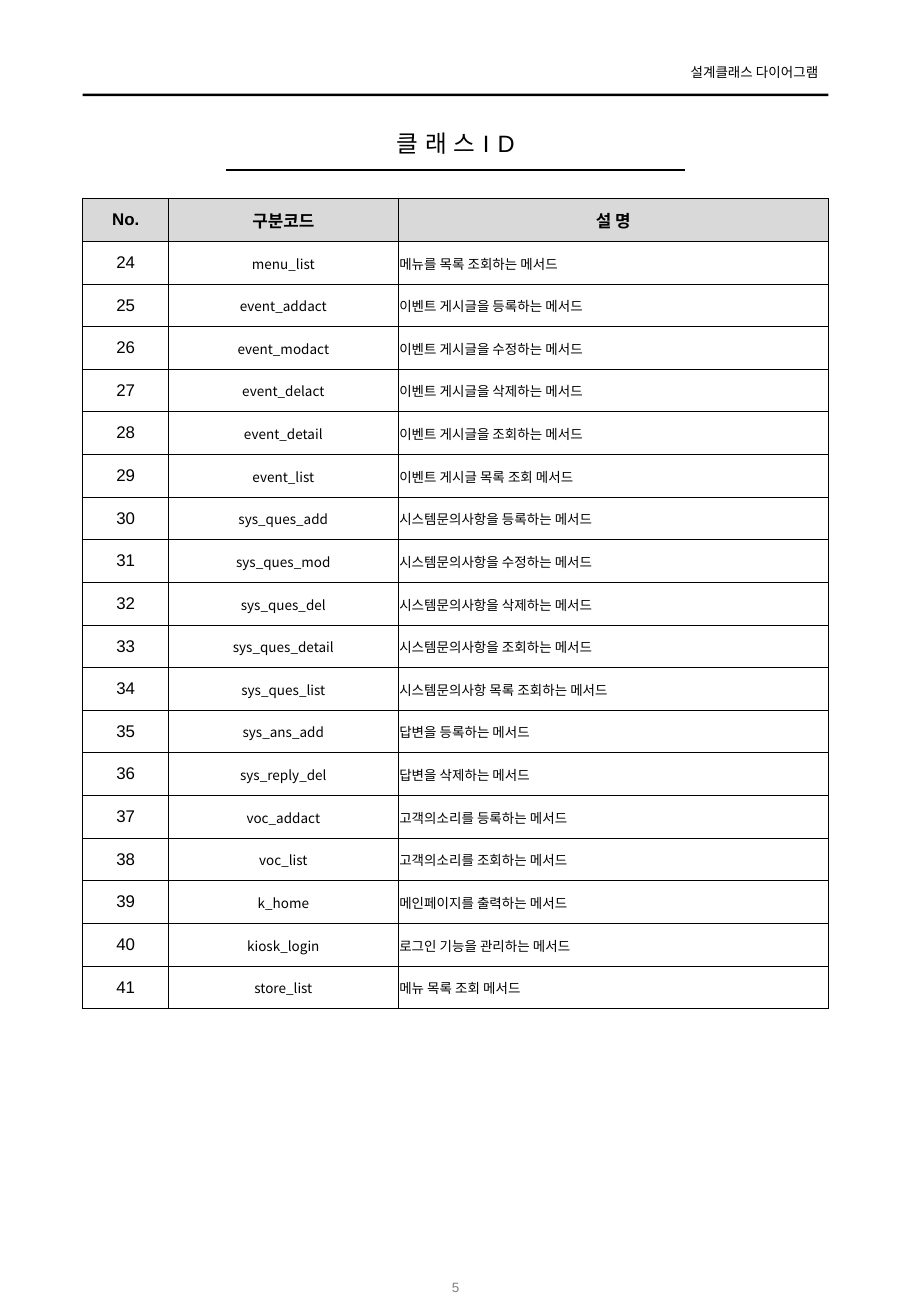
from collections import namedtuple
from dataclasses import dataclass

from lxml import etree
from pptx import Presentation
from pptx.dml.color import RGBColor
from pptx.enum.shapes import MSO_CONNECTOR, MSO_SHAPE
from pptx.enum.text import MSO_ANCHOR, MSO_AUTO_SIZE, PP_ALIGN
from pptx.oxml.ns import qn
from pptx.util import Pt

LEFT, CENTER, RIGHT = PP_ALIGN.LEFT, PP_ALIGN.CENTER, PP_ALIGN.RIGHT
TOP, MIDDLE = MSO_ANCHOR.TOP, MSO_ANCHOR.MIDDLE
NO_AUTOFIT = MSO_AUTO_SIZE.NONE
STRAIGHT, RECTANGLE = MSO_CONNECTOR.STRAIGHT, MSO_SHAPE.RECTANGLE

Box = namedtuple("Box", "left top width height")
Style = namedtuple("Style", "size font color bold", defaults=(False,))


@dataclass(frozen=True)
class Theme:
    ink: str = "000000"
    paper: str = "FFFFFF"
    header_fill: str = "D9D9D9"
    muted: str = "808080"
    latin: str = "Arial"
    korean: str = "Noto Sans CJK KR"
    title_size: int = 14
    table_size: int = 10
    small_size: int = 8


THEME = Theme()
RUNNING_HEAD = Style(THEME.small_size, THEME.latin, THEME.ink)
TITLE = Style(THEME.title_size, THEME.latin, THEME.ink)
COLUMN_HEAD = Style(THEME.table_size, THEME.latin, THEME.ink, True)
NUMBER = Style(THEME.table_size, THEME.latin, THEME.ink)
DETAIL = Style(THEME.small_size, THEME.korean, THEME.ink)
PAGE_NUMBER = Style(THEME.small_size, THEME.latin, THEME.muted)

COLUMN_WIDTHS = (51, 136, 255)
COLUMN_HEADS = ("No.", "구분코드", "설 명")
FIRST_NUMBER = 24
METHODS = (
    ("menu_list", "메뉴를 목록 조회하는 메서드"),
    ("event_addact", "이벤트 게시글을 등록하는 메서드"),
    ("event_modact", "이벤트 게시글을 수정하는 메서드"),
    ("event_delact", "이벤트 게시글을 삭제하는 메서드"),
    ("event_detail", "이벤트 게시글을 조회하는 메서드"),
    ("event_list", "이벤트 게시글 목록 조회 메서드"),
    ("sys_ques_add", "시스템문의사항을 등록하는 메서드"),
    ("sys_ques_mod", "시스템문의사항을 수정하는 메서드"),
    ("sys_ques_del", "시스템문의사항을 삭제하는 메서드"),
    ("sys_ques_detail", "시스템문의사항을 조회하는 메서드"),
    ("sys_ques_list", "시스템문의사항 목록 조회하는 메서드"),
    ("sys_ans_add", "답변을 등록하는 메서드"),
    ("sys_reply_del", "답변을 삭제하는 메서드"),
    ("voc_addact", "고객의소리를 등록하는 메서드"),
    ("voc_list", "고객의소리를 조회하는 메서드"),
    ("k_home", "메인페이지를 출력하는 메서드"),
    ("kiosk_login", "로그인 기능을 관리하는 메서드"),
    ("store_list", "메뉴 목록 조회 메서드"),
)


def lengths(*values):
    return [Pt(value) for value in values]


def write(frame, text, style, alignment):
    paragraph = frame.paragraphs[0]
    paragraph.alignment = alignment
    paragraph.line_spacing = 1.0
    run = paragraph.add_run()
    run.text = text
    run.font.size = Pt(style.size)
    run.font.name = style.font
    run.font.bold = style.bold
    run.font.color.rgb = RGBColor.from_string(style.color)
    properties = run.font._element
    east_asian = etree.Element(qn("a:ea"), typeface=THEME.korean)
    properties.find(qn("a:latin")).addnext(east_asian)
    return run


def set_margins(owner, left, top, right, bottom):
    owner.margin_left, owner.margin_top = lengths(left, top)
    owner.margin_right, owner.margin_bottom = lengths(right, bottom)


def format_frame(frame, margins, anchor):
    frame.word_wrap = True
    frame.auto_size = NO_AUTOFIT
    frame.vertical_anchor = anchor
    set_margins(frame, *margins)


def add_running_head(slide, box):
    label = slide.shapes.add_textbox(*lengths(box.left + box.width - 97, box.top, 97, 17.5))
    format_frame(label.text_frame, (7.2, 3.6, 5.8, 3.6), TOP)
    write(label.text_frame, "설계클래스 다이어그램", RUNNING_HEAD, RIGHT)
    rule_height = 1.5
    rule = slide.shapes.add_shape(
        RECTANGLE, *lengths(box.left, box.top + box.height - rule_height, box.width, rule_height))
    rule.shadow.inherit = False
    rule.fill.solid()
    rule.fill.fore_color.rgb = RGBColor.from_string(THEME.ink)
    rule.line.fill.background()


def add_title(slide, box):
    title = slide.shapes.title
    title.left, title.top, title.width, title.height = lengths(
        box.left, box.top, box.width, 24.5)
    format_frame(title.text_frame, (0, 3.6, 0, 3.6), MIDDLE)
    run = write(title.text_frame, "클 래 스 I D", TITLE, CENTER)
    run.font._element.set("spc", "50")
    underline_width = 272
    start = box.left + (box.width - underline_width) / 2
    bottom = box.top + box.height
    underline = slide.shapes.add_connector(
        STRAIGHT, *lengths(start, bottom, start + underline_width, bottom))
    underline.line.width = Pt(1)
    underline.line.color.rgb = RGBColor.from_string(THEME.ink)
    etree.SubElement(underline._element.spPr, qn("a:effectLst"))


def outline_cell(cell):
    properties = cell._tc.get_or_add_tcPr()
    for index, side in enumerate(("lnL", "lnR", "lnT", "lnB")):
        border = etree.Element(qn(f"a:{side}"), w=str(Pt(0.5)))
        fill = etree.SubElement(border, qn("a:solidFill"))
        etree.SubElement(fill, qn("a:srgbClr"), val=THEME.ink)
        properties.insert(index, border)


def fill_cell(cell, text, style, alignment, fill):
    cell.vertical_anchor = MIDDLE
    if style is DETAIL:
        set_margins(cell, 0.7, 0.7, 0.7, 0)
    cell.fill.solid()
    cell.fill.fore_color.rgb = RGBColor.from_string(fill)
    outline_cell(cell)
    write(cell.text_frame, text, style, alignment)


def add_method_table(slide, box):
    row_count = len(METHODS) + 1
    table = slide.shapes.add_table(row_count, len(COLUMN_WIDTHS), *lengths(*box)).table
    table.first_row = table.horz_banding = False
    for column, width in zip(table.columns, COLUMN_WIDTHS):
        column.width = Pt(width)
    for row in table.rows:
        row.height = Pt(box.height / row_count)
    for column, heading in enumerate(COLUMN_HEADS):
        fill_cell(table.cell(0, column), heading, COLUMN_HEAD, CENTER, THEME.header_fill)
    for row, (code, description) in enumerate(METHODS, 1):
        number = str(FIRST_NUMBER + row - 1)
        fill_cell(table.cell(row, 0), number, NUMBER, CENTER, THEME.paper)
        fill_cell(table.cell(row, 1), code, DETAIL, CENTER, THEME.paper)
        fill_cell(table.cell(row, 2), description, DETAIL, LEFT, THEME.paper)


def add_page_number(slide, box):
    label = slide.shapes.add_textbox(*lengths(*box))
    format_frame(label.text_frame, (7.2, 3.6, 7.2, 3.6), MIDDLE)
    write(label.text_frame, "5", PAGE_NUMBER, CENTER)


def main():
    presentation = Presentation()
    presentation.slide_width, presentation.slide_height = lengths(540, 779.76)
    slide = presentation.slides.add_slide(presentation.slide_layouts[5])
    left, width = 49, sum(COLUMN_WIDTHS)
    add_running_head(slide, Box(left, 34.5, width, 22.5))
    add_title(slide, Box(left, 72.5, width, 28.3))
    add_page_number(slide, Box(236, 748, 68, 29))
    add_method_table(slide, Box(left, 117.7, width, 480))
    presentation.save("out.pptx")


main()
